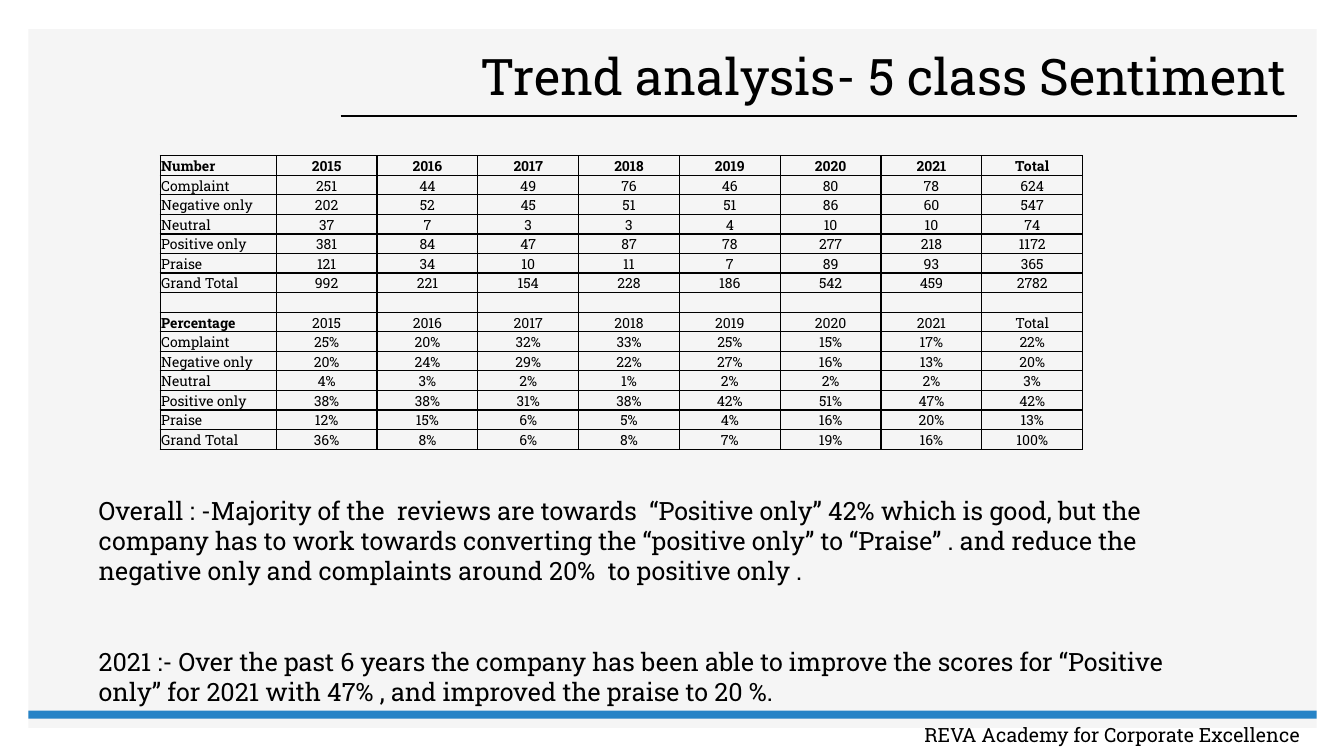
from dataclasses import dataclass

from lxml.etree import SubElement
from pptx import Presentation
from pptx.dml.color import RGBColor
from pptx.enum.shapes import MSO_CONNECTOR as Connector, MSO_SHAPE as Shape
from pptx.enum.text import MSO_ANCHOR as Anchor, MSO_AUTO_SIZE as AutoSize, PP_ALIGN as Align
from pptx.oxml.ns import qn
from pptx.util import Pt

FONT = "Roboto Slab"
BLACK = RGBColor(0x00, 0x00, 0x00)
PANEL_GREY = RGBColor(0xF5, 0xF5, 0xF5)
BAND_BLUE = RGBColor(0x26, 0x83, 0xC6)

YEARS = ["2015", "2016", "2017", "2018", "2019", "2020", "2021", "Total"]
ROW_HEIGHT, LABEL_WIDTH, VALUE_WIDTH = 14, 82.8, 72


@dataclass
class Box:
    left: float
    top: float
    width: float
    height: float

    def lengths(self) -> list:
        return [Pt(v) for v in (self.left, self.top, self.width, self.height)]


@dataclass
class Row:
    label: str
    values: list
    label_bold: bool = False
    values_bold: bool = False


@dataclass
class Bar:
    box: Box
    color: RGBColor


BARS = [
    Bar(Box(20.2, 20.9, 920.2, 499), PANEL_GREY),
    Bar(Box(20.2, 507.6, 920.2, 5.8), BAND_BLUE),
]

ROWS = [
    Row("Number", YEARS, True, True),
    Row("Complaint", [251, 44, 49, 76, 46, 80, 78, 624]),
    Row("Negative only", [202, 52, 45, 51, 51, 86, 60, 547]),
    Row("Neutral", [37, 7, 3, 3, 4, 10, 10, 74]),
    Row("Positive only", [381, 84, 47, 87, 78, 277, 218, 1172]),
    Row("Praise", [121, 34, 10, 11, 7, 89, 93, 365]),
    Row("Grand Total", [992, 221, 154, 228, 186, 542, 459, 2782]),
    Row("", [""] * len(YEARS)),
    Row("Percentage", YEARS, True),
    Row("Complaint", ["25%", "20%", "32%", "33%", "25%", "15%", "17%", "22%"]),
    Row("Negative only", ["20%", "24%", "29%", "22%", "27%", "16%", "13%", "20%"]),
    Row("Neutral", ["4%", "3%", "2%", "1%", "2%", "2%", "2%", "3%"]),
    Row("Positive only", ["38%", "38%", "31%", "38%", "42%", "51%", "47%", "42%"]),
    Row("Praise", ["12%", "15%", "6%", "5%", "4%", "16%", "20%", "13%"]),
    Row("Grand Total", ["36%", "8%", "6%", "8%", "7%", "19%", "16%", "100%"]),
]

COMMENTS = [
    "Overall : -Majority of the  reviews are towards  “Positive only” 42% which is good, "
    "but the  company has to work towards converting the “positive only” to “Praise” . "
    "and reduce the  negative only and complaints around 20%  to positive only .",
    "2021 :- Over the past 6 years the company has been able to improve the scores for "
    "“Positive only” for 2021 with 47% , and improved the praise to 20 %.",
]


def set_attributes(target, values: dict) -> None:
    for name, value in values.items():
        setattr(target, name, value)


def write(p, text: str, size: float, align=Align.LEFT, bold: bool = False) -> None:
    p.alignment = align
    r = p.add_run()
    r.text = text
    set_attributes(r.font, {"name": FONT, "size": Pt(size), "bold": bold})
    r.font.color.rgb = BLACK


def add_bar(s, bar: Bar) -> None:
    sp = s.shapes.add_shape(Shape.RECTANGLE, *bar.box.lengths())
    sp.shadow.inherit = False
    sp.fill.solid()
    sp.fill.fore_color.rgb = bar.color
    sp.line.fill.background()


def add_rule(s, left: float, right: float, top: float) -> None:
    line = s.shapes.add_connector(Connector.STRAIGHT, Pt(left), Pt(top), Pt(right), Pt(top))
    line.line.color.rgb = BLACK
    line.line.width = Pt(1)
    SubElement(line._element.spPr, qn("a:effectLst"))


def add_text(s, box: Box, paragraphs: list, size: float, align=Align.LEFT,
             gap: float = 0, right_inset: float = 7.2) -> None:
    tf = s.shapes.add_textbox(*box.lengths()).text_frame
    set_attributes(tf, {"word_wrap": True, "auto_size": AutoSize.SHAPE_TO_FIT_TEXT,
                        "margin_right": Pt(right_inset)})
    for i, text in enumerate(paragraphs):
        p = tf.add_paragraph() if i else tf.paragraphs[0]
        if i:
            p.space_before = Pt(gap)
        write(p, text, size, align)


def add_borders(cell) -> None:
    tc_pr = cell._tc.get_or_add_tcPr()
    for side in ("lnL", "lnR", "lnT", "lnB"):
        ln = SubElement(tc_pr, qn(f"a:{side}"), w=str(Pt(1)))
        fill = SubElement(ln, qn("a:solidFill"))
        SubElement(fill, qn("a:srgbClr"), val=str(BLACK))


def fill_cell(cell, text: str, align, bold: bool) -> None:
    set_attributes(cell, {"vertical_anchor": Anchor.BOTTOM, "margin_left": Pt(0.7),
                          "margin_right": Pt(0.7), "margin_top": Pt(0.7), "margin_bottom": 0})
    add_borders(cell)
    cell.fill.background()
    p = cell.text_frame.paragraphs[0]
    if text:
        write(p, text, 10, align, bold)
    else:
        # An empty cell needs a small size so that its row keeps its height
        SubElement(p._p, qn("a:endParaRPr"), sz="1000")


def add_score_table(s, left: float, top: float, rows: list) -> None:
    box = Box(left, top, LABEL_WIDTH + VALUE_WIDTH * len(YEARS), ROW_HEIGHT * len(rows))
    table = s.shapes.add_table(len(rows), len(YEARS) + 1, *box.lengths()).table
    set_attributes(table, {"first_row": False, "horz_banding": False})
    for i, column in enumerate(table.columns):
        column.width = Pt(VALUE_WIDTH if i else LABEL_WIDTH)
    for i, row in enumerate(rows):
        table.rows[i].height = Pt(ROW_HEIGHT)
        fill_cell(table.cell(i, 0), row.label, Align.LEFT, row.label_bold)
        for j, value in enumerate(row.values, 1):
            fill_cell(table.cell(i, j), str(value), Align.CENTER, row.values_bold)


def set_title(s, box: Box, text: str) -> None:
    title = s.shapes.title
    set_attributes(title, dict(zip(("left", "top", "width", "height"), box.lengths())))
    tf = title.text_frame
    set_attributes(tf, {"word_wrap": True, "auto_size": AutoSize.NONE,
                        "vertical_anchor": Anchor.MIDDLE})
    p = tf.paragraphs[0]
    p.line_spacing = 0.9
    write(p, text, 36, Align.RIGHT)


def main() -> None:
    prs = Presentation()
    set_attributes(prs, {"slide_width": Pt(960), "slide_height": Pt(540)})
    s = prs.slides.add_slide(prs.slide_layouts[5])

    # Backdrop and footer
    for bar in BARS:
        add_bar(s, bar)
    add_rule(s, 243.4, 926.6, 82.8)
    add_text(s, Box(563, 512.6, 376.6, 24.5), ["REVA Academy for Corporate Excellence"],
             14, Align.RIGHT, right_inset=10.8)

    # Title: moved to the front of the backdrop
    s.shapes._spTree.append(s.shapes.title._element)
    set_title(s, Box(266.4, 30.2, 660.2, 52.6), "Trend analysis- 5 class Sentiment")

    # Comments and scores
    add_text(s, Box(63.4, 349.9, 791.3, 159.8), COMMENTS, 18, gap=43.4)
    add_score_table(s, 114.5, 111.2, ROWS)

    prs.save("out.pptx")


if __name__ == "__main__":
    main()
